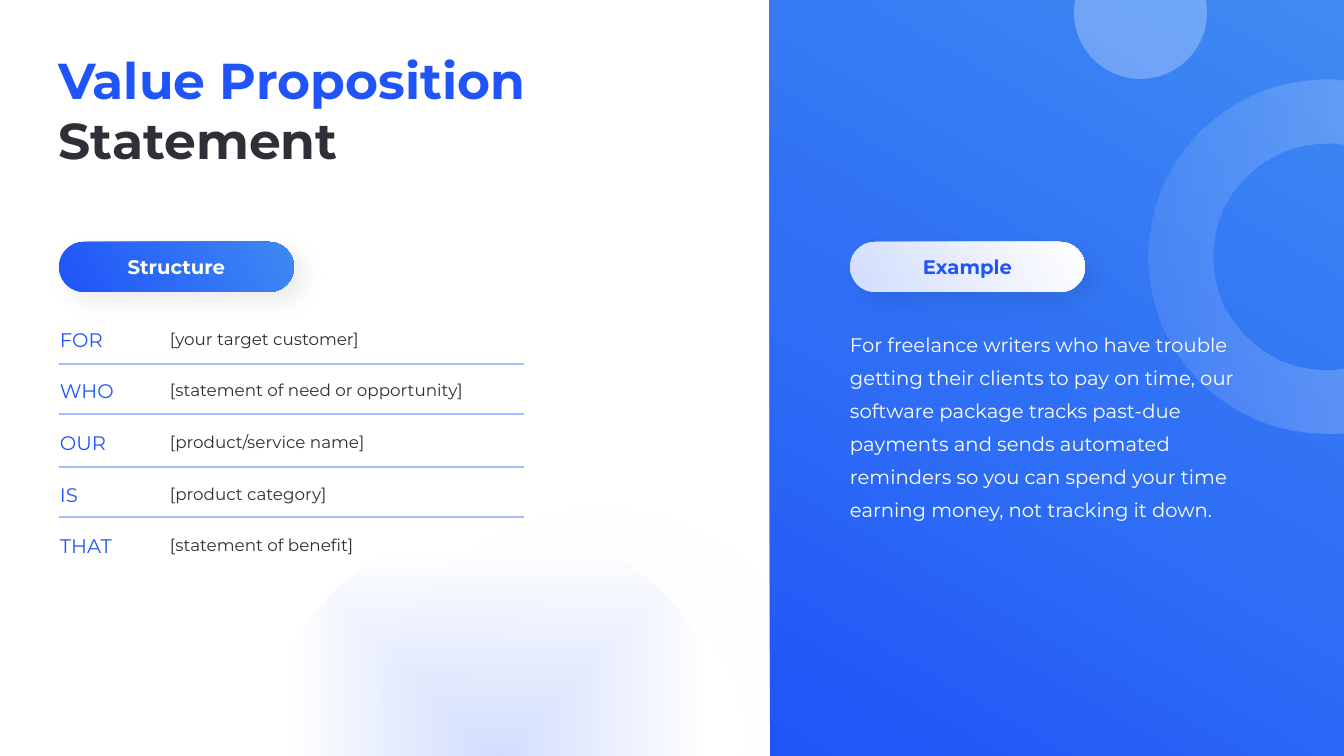
from math import acos, cos, pi, sin, tan

from lxml import etree
from pptx import Presentation
from pptx.dml.color import RGBColor
from pptx.enum.shapes import MSO_CONNECTOR as Connector, MSO_SHAPE as Shape
from pptx.enum.text import MSO_ANCHOR as Anchor, PP_ALIGN as Align
from pptx.oxml import parse_xml
from pptx.oxml.ns import nsdecls, qn
from pptx.util import Emu, Pt

PX = 12192000 / 1344
FONT = "Montserrat"
COLORS = {
    "blue": "2054F8",
    "mid": "2F6FF5",
    "sky": "3E89F3",
    "pale": "D2DDFE",
    "rule": "A6BBFC",
    "ink": "302F37",
    "white": "FFFFFF",
}


def paint(shape, stops, direction):
    """Gradient fill without outline; stops are (position, color, opacity)."""
    shape.shadow.inherit = False
    shape.line.fill.background()
    shape.fill.background()
    marks = "".join(
        f'<a:gs pos="{pos * 1000}"><a:srgbClr val="{COLORS[color]}">'
        f'<a:alpha val="{opacity * 1000}"/></a:srgbClr></a:gs>'
        for pos, color, opacity in stops
    )
    gradient = parse_xml(
        f'<a:gradFill rotWithShape="1" {nsdecls("a")}>'
        f"<a:gsLst>{marks}</a:gsLst>{direction}</a:gradFill>"
    )
    properties = shape.element.spPr
    properties.replace(properties.find(qn("a:noFill")), gradient)


def write(frame, spans, size, bold=False, spacing=1.0, anchor=Anchor.MIDDLE):
    """One paragraph of (text, color) spans in a frame without margins."""
    frame.word_wrap = True
    frame.vertical_anchor = anchor
    frame.margin_left = frame.margin_right = 0
    frame.margin_top = frame.margin_bottom = 0
    para = frame.paragraphs[0]
    para.line_spacing = spacing
    for text, color in spans:
        span = para.add_run()
        span.text = text
        span.font.name = FONT
        span.font.size = Pt(size)
        span.font.bold = bold
        span.font.color.rgb = RGBColor.from_string(COLORS[color])
    return para


deck = Presentation()
deck.slide_width, deck.slide_height = Emu(12192000), Emu(6858000)
page = deck.slides.add_slide(deck.slide_layouts[6])
shapes = page.shapes

# Blue panel, glow and the two rings cut off by the slide edge
# Ring: center x, center y, outer radius, inner radius, distance to the cut,
# direction of the cut, opacity at start and end, gradient angle
rings = {
    "floor": (601, 733, 224, 142, 23, pi / 2, 40, 80, 90),
    "wall": (1326, 257, 177, 113, 18, 0, 10, 20, 0),
}
for place, (x, y, outer, inner, cut, facing, start, end, angle) in rings.items():
    if place == "wall":
        panel = shapes.add_shape(
            Shape.RECTANGLE, *[Emu(round(n * PX)) for n in (770, 0, 574, 756)])
        paint(panel, [(0, "blue", 100), (45, "mid", 100), (100, "sky", 100)],
              f'<a:lin ang="{300 * 60000}" scaled="0"/>')
    # Each arc is split at the quarter turns; every piece is one Bezier curve
    points = []
    for radius, order in ((outer, 1), (inner, -1)):
        gap = acos(cut / radius)
        turns = [gap, pi / 2, pi, 3 * pi / 2, 2 * pi - gap][::order]
        points.append((x + radius * cos(facing + turns[0]),
                       y + radius * sin(facing + turns[0])))
        for a, b in zip(turns, turns[1:]):
            pull = 4 / 3 * tan((b - a) / 4)
            for turn, lean in ((a, pull), (b, -pull), (b, 0)):
                turn += facing
                points.append((x + radius * (cos(turn) - lean * sin(turn)),
                               y + radius * (sin(turn) + lean * cos(turn))))
    points = [(px * PX, py * PX) for px, py in points]
    builder = shapes.build_freeform(*points[0], scale=1.0)
    builder.add_line_segments(points[1:], close=True)
    ring = builder.convert_to_shape()
    lines = list(ring.element.iter(qn("a:lnTo")))
    for first in (0, 3, 6, 9, 13, 16, 19, 22):
        curve = etree.Element(qn("a:cubicBezTo"))
        lines[first].addprevious(curve)
        for line in lines[first:first + 3]:
            curve.append(line[0])
            line.getparent().remove(line)
    paint(ring, [(0, "white", start), (100, "white", end)],
          f'<a:lin ang="{angle * 60000}" scaled="0"/>')
    if place == "floor":
        glow = shapes.add_shape(
            Shape.OVAL, *[Emu(round(n * PX)) for n in (265, 525, 465, 465)])
        paint(glow, [(0, "pale", 100), (89, "pale", 0)],
              '<a:path path="shape"><a:fillToRect l="50000" t="50000" '
              'r="50000" b="50000"/></a:path>')

# Small translucent disc
disc = shapes.add_shape(
    Shape.OVAL, *[Emu(round(n * PX)) for n in (1074, -54, 133, 133)])
disc.shadow.inherit = False
disc.line.fill.background()
disc.fill.solid()
disc.fill.fore_color.rgb = RGBColor.from_string(COLORS["white"])
tint = disc.element.spPr.find(qn("a:solidFill"))[0]
etree.SubElement(tint, qn("a:alpha"), val="27000")

# Pill headings
for label, left, color, dark, light in (
    ("Structure", 59, "white", "blue", "sky"),
    ("Example", 850, "blue", "pale", "white"),
):
    pill = shapes.add_shape(
        Shape.ROUNDED_RECTANGLE, *[Emu(round(n * PX)) for n in (left, 242, 235, 50)])
    pill.adjustments[0] = 0.5
    paint(pill, [(0, dark, 100), (100, light, 100)],
          f'<a:lin ang="{330 * 60000}" scaled="0"/>')
    pill.element.spPr.find(qn("a:effectLst")).append(parse_xml(
        f'<a:outerShdw blurRad="{Pt(17)}" dist="{Pt(10)}" dir="{45 * 60000}" '
        f'algn="tl" rotWithShape="0" {nsdecls("a")}>'
        '<a:srgbClr val="000000"><a:alpha val="8000"/></a:srgbClr></a:outerShdw>'))
    write(pill.text_frame, [(label, color)], 14, bold=True).alignment = Align.CENTER

# Title, example text and the rows of the structure
texts = [
    ((58, 59, 645, 101), [("Value Proposition ", "blue"), ("Statement", "ink")],
     36, True, 1.0, Anchor.MIDDLE),
    ((850, 324, 414, 357),
     [("For freelance writers who have trouble getting their clients to pay on "
       "time, our software package tracks past-due payments and sends automated "
       "reminders so you can spend your time earning money, not tracking it down.",
       "white")],
     14, False, 1.4, Anchor.TOP),
]
rows = [
    ("FOR", "[your target customer]"),
    ("WHO", "[statement of need or opportunity]"),
    ("OUR", "[product/service name]"),
    ("IS", "[product category]"),
    ("THAT", "[statement of benefit]"),
]
for index, (keyword, hint) in enumerate(rows):
    top = int(324 + 51.7 * index)
    for left, width, text, color, size in (
        (60, 70, keyword, "blue", 14),
        (170, 404, hint, "ink", 12),
    ):
        texts.append(((left, top, width, 26), [(text, color)],
                      size, False, 1.2, Anchor.MIDDLE))
for bounds, *style in texts:
    box = shapes.add_textbox(*[Emu(round(n * PX)) for n in bounds])
    write(box.text_frame, *style)

# Rules between the rows
for level in (364, 414, 467, 517):
    rule = shapes.add_connector(
        Connector.STRAIGHT, *[Emu(round(n * PX)) for n in (59, level, 524, level)])
    rule.line.color.rgb = RGBColor.from_string(COLORS["rule"])
    rule.line.width = Pt(1.25)
    etree.SubElement(rule.element.spPr, qn("a:effectLst"))

deck.save("out.pptx")
